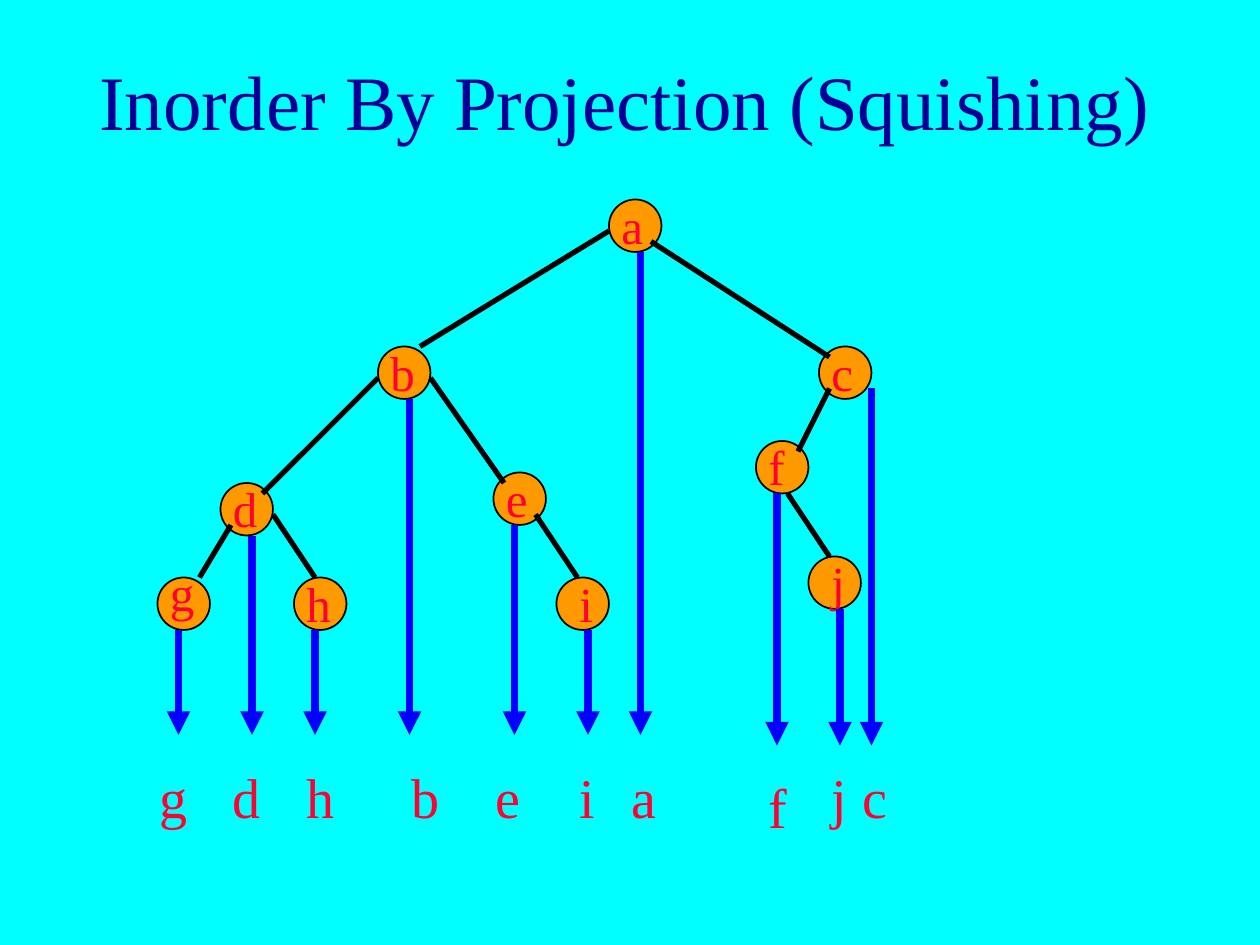
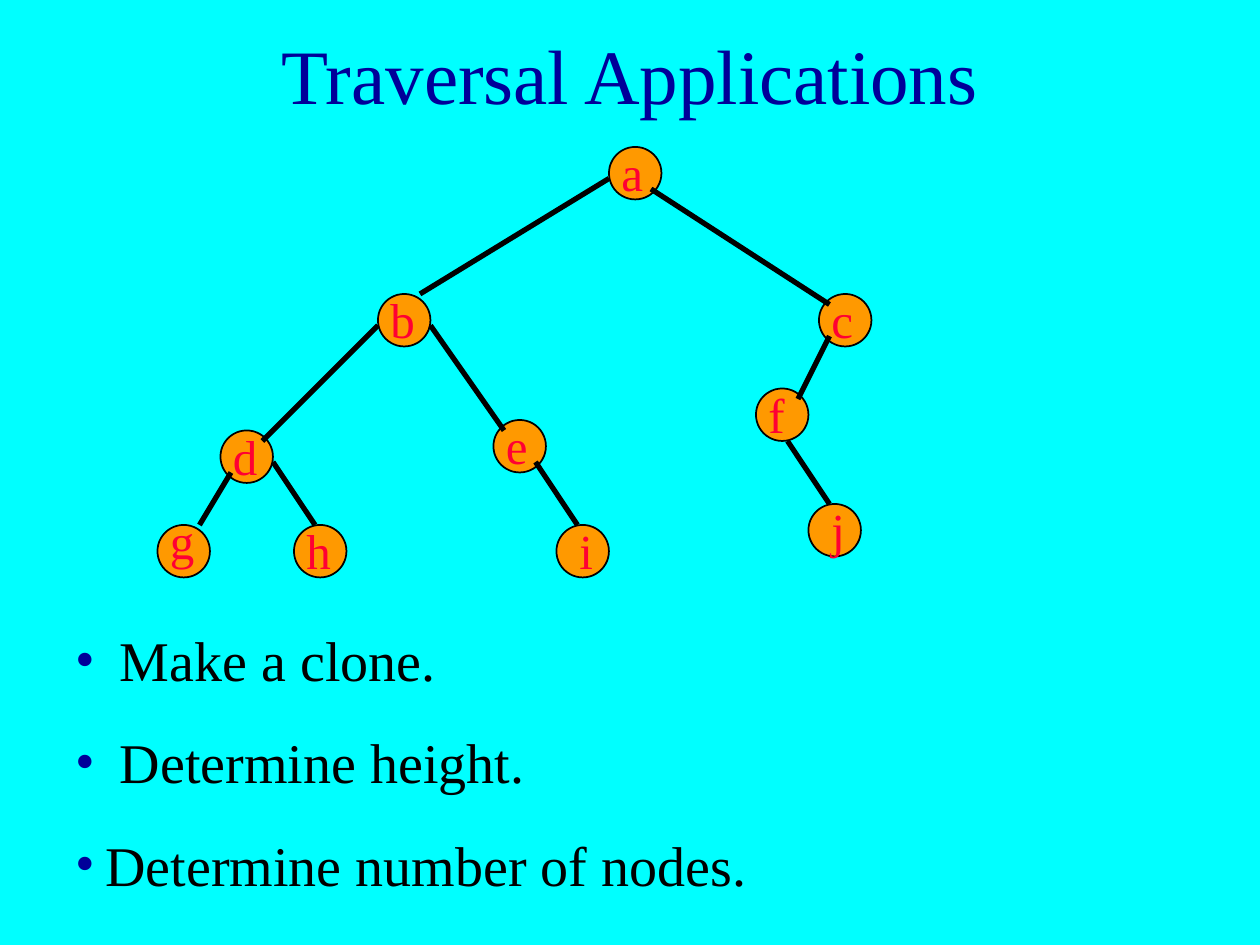
from dataclasses import dataclass

from lxml.etree import SubElement
from pptx import Presentation
from pptx.dml.color import RGBColor
from pptx.enum.shapes import MSO_CONNECTOR, MSO_SHAPE
from pptx.enum.text import MSO_ANCHOR, MSO_AUTO_SIZE, PP_ALIGN
from pptx.oxml.ns import qn
from pptx.presentation import Presentation as Deck
from pptx.shapes.shapetree import GroupShapes
from pptx.slide import Slide
from pptx.text.text import _Paragraph as Paragraph
from pptx.util import Emu, Pt

EMU_PER_PX = 9525


@dataclass(frozen=True)
class Theme:
    font: str = "Times New Roman"
    background: str = "00FFFF"
    title: str = "000099"
    body: str = "000000"
    letter: str = "FF0033"
    node: str = "FF9900"
    outline: str = "000000"
    projection: str = "0000FF"
    title_size: int = 44
    body_size: int = 32
    letter_size: int = 28
    outline_width: float = 1
    edge_width: float = 3
    projection_width: float = 4.5


@dataclass(frozen=True)
class Box:
    left: int
    top: int
    width: int
    height: int


@dataclass(frozen=True)
class Node:
    x: int
    y: int
    letter_dx: int = 0
    letter_dy: int = -8


@dataclass(frozen=True)
class Edge:
    parent: str
    child: str
    leave: tuple[int, int]
    arrive: tuple[int, int]


@dataclass(frozen=True)
class Projection:
    letter: str
    arrow_dx: int
    letter_x: int
    arrow_end: int = 560
    letter_y: int = 576
    start_dy: int = 40


@dataclass(frozen=True)
class Bullet:
    text: str
    indent: int


THEME = Theme()
NODE_SIZE = 40

NODES = {
    "a": Node(464, 0),
    "b": Node(288, 112),
    "c": Node(624, 112),
    "d": Node(168, 216),
    "e": Node(376, 208),
    "f": Node(576, 184),
    "g": Node(120, 288, letter_dy=-16),
    "h": Node(224, 288),
    "i": Node(424, 288, letter_dx=8),
    "j": Node(616, 272, letter_dx=8),
}

EDGES = [
    Edge("a", "b", (0, 24), (32, 0)),
    Edge("a", "c", (32, 32), (8, 8)),
    Edge("b", "d", (0, 24), (32, 8)),
    Edge("b", "e", (40, 24), (8, 8)),
    Edge("c", "f", (8, 32), (32, 8)),
    Edge("d", "g", (8, 32), (32, 0)),
    Edge("d", "h", (40, 24), (16, 0)),
    Edge("e", "i", (32, 32), (16, 0)),
    Edge("f", "j", (24, 40), (16, 0)),
]

PROJECTIONS = [
    Projection("g", 16, 112),
    Projection("d", 24, 168),
    Projection("h", 16, 224),
    Projection("b", 24, 304),
    Projection("e", 16, 368),
    Projection("i", 24, 432),
    Projection("a", 24, 472),
    Projection("f", 16, 576, arrow_end=568, letter_y=584),
    Projection("j", 24, 624, arrow_end=568),
    Projection("c", 40, 648, arrow_end=568, start_dy=32),
]

APPLICATIONS = [
    Bullet("Make a clone.", 34),
    Bullet("Determine height.", 34),
    Bullet("Determine number of nodes.", 23),
]


def px(length: int) -> Emu:
    return Emu(length * EMU_PER_PX)


def place(box: Box) -> tuple[Emu, Emu, Emu, Emu]:
    return px(box.left), px(box.top), px(box.width), px(box.height)


def style(para: Paragraph, size: int, color: str) -> None:
    for span in para.runs:
        span.font.name = THEME.font
        span.font.size = Pt(size)
        span.font.color.rgb = RGBColor.from_string(color)


def add_titled_slide(deck: Deck, text: str, box: Box) -> Slide:
    page = deck.slides.add_slide(deck.slide_layouts[5])
    title = page.shapes.title
    title.left, title.top, title.width, title.height = place(box)
    frame = title.text_frame
    frame.text = text
    frame.word_wrap = True
    frame.auto_size = MSO_AUTO_SIZE.NONE
    frame.vertical_anchor = MSO_ANCHOR.MIDDLE
    para = frame.paragraphs[0]
    para.alignment = PP_ALIGN.CENTER
    style(para, THEME.title_size, THEME.title)
    return page


def add_letter(shapes: GroupShapes, letter: str, box: Box, size: int) -> None:
    frame = shapes.add_textbox(*place(box)).text_frame
    frame.word_wrap = True
    frame.text = letter
    style(frame.paragraphs[0], size, THEME.letter)


def add_line(shapes: GroupShapes, start: tuple[int, int], end: tuple[int, int],
             color: str, width: float, arrow: bool = False) -> None:
    connector = shapes.add_connector(
        MSO_CONNECTOR.STRAIGHT, *map(px, start), *map(px, end))
    connector.line.color.rgb = RGBColor.from_string(color)
    connector.line.width = Pt(width)
    properties = connector.element.spPr
    if arrow:
        SubElement(properties.find(qn("a:ln")), qn("a:tailEnd"), type="triangle")
    SubElement(properties, qn("a:effectLst"))


def add_node(shapes: GroupShapes, node: Node, top: int) -> None:
    circle = shapes.add_shape(
        MSO_SHAPE.OVAL, *place(Box(node.x, top + node.y, NODE_SIZE, NODE_SIZE)))
    circle.shadow.inherit = False
    circle.fill.solid()
    circle.fill.fore_color.rgb = RGBColor.from_string(THEME.node)
    circle.line.color.rgb = RGBColor.from_string(THEME.outline)
    circle.line.width = Pt(THEME.outline_width)


def add_tree(page: Slide, top: int) -> None:
    shapes = page.shapes.add_group_shape().shapes
    for node in NODES.values():
        add_node(shapes, node, top)
    for edge in EDGES:
        parent, child = NODES[edge.parent], NODES[edge.child]
        start = parent.x + edge.leave[0], top + parent.y + edge.leave[1]
        end = child.x + edge.arrive[0], top + child.y + edge.arrive[1]
        add_line(shapes, start, end, THEME.outline, THEME.edge_width)
    for letter, node in NODES.items():
        box = Box(node.x + node.letter_dx, top + node.y + node.letter_dy, 80, 55)
        add_letter(shapes, letter, box, THEME.letter_size)


def add_projections(page: Slide, top: int) -> None:
    letters = page.shapes.add_group_shape().shapes
    arrows = page.shapes.add_group_shape().shapes
    for item in PROJECTIONS:
        node = NODES[item.letter]
        x = node.x + item.arrow_dx
        add_letter(letters, item.letter, Box(item.letter_x, item.letter_y, 40, 61),
                   THEME.body_size)
        add_line(arrows, (x, top + node.y + item.start_dy), (x, item.arrow_end),
                 THEME.projection, THEME.projection_width, arrow=True)


def add_bullets(page: Slide, bullets: list[Bullet], box: Box) -> None:
    frame = page.shapes.add_textbox(*place(box)).text_frame
    frame.word_wrap = True
    frame.text = "\n".join(bullet.text for bullet in bullets)
    for para, bullet in zip(frame.paragraphs, bullets):
        para.space_before = Pt(20)
        style(para, THEME.body_size, THEME.body)
        properties = para._p.get_or_add_pPr()
        properties.set("marL", str(px(bullet.indent)))
        properties.set("indent", str(-px(bullet.indent)))
        color = SubElement(properties, qn("a:buClr"))
        SubElement(color, qn("a:srgbClr"), val=THEME.title)
        SubElement(properties, qn("a:buFont"), typeface=THEME.font)
        SubElement(properties, qn("a:buChar"), char="•")


def main() -> None:
    deck = Presentation()
    deck.slide_width, deck.slide_height = px(960), px(720)
    fill = deck.slide_master.background.fill
    fill.solid()
    fill.fore_color.rgb = RGBColor.from_string(THEME.background)

    projection_page = add_titled_slide(
        deck, "Inorder By Projection (Squishing)", Box(32, 16, 888, 120))
    add_tree(projection_page, 152)
    add_projections(projection_page, 152)

    applications_page = add_titled_slide(
        deck, "Traversal Applications", Box(72, 16, 816, 80))
    add_tree(applications_page, 112)
    add_bullets(applications_page, APPLICATIONS, Box(48, 472, 680, 217))

    deck.save("out.pptx")


if __name__ == "__main__":
    main()
